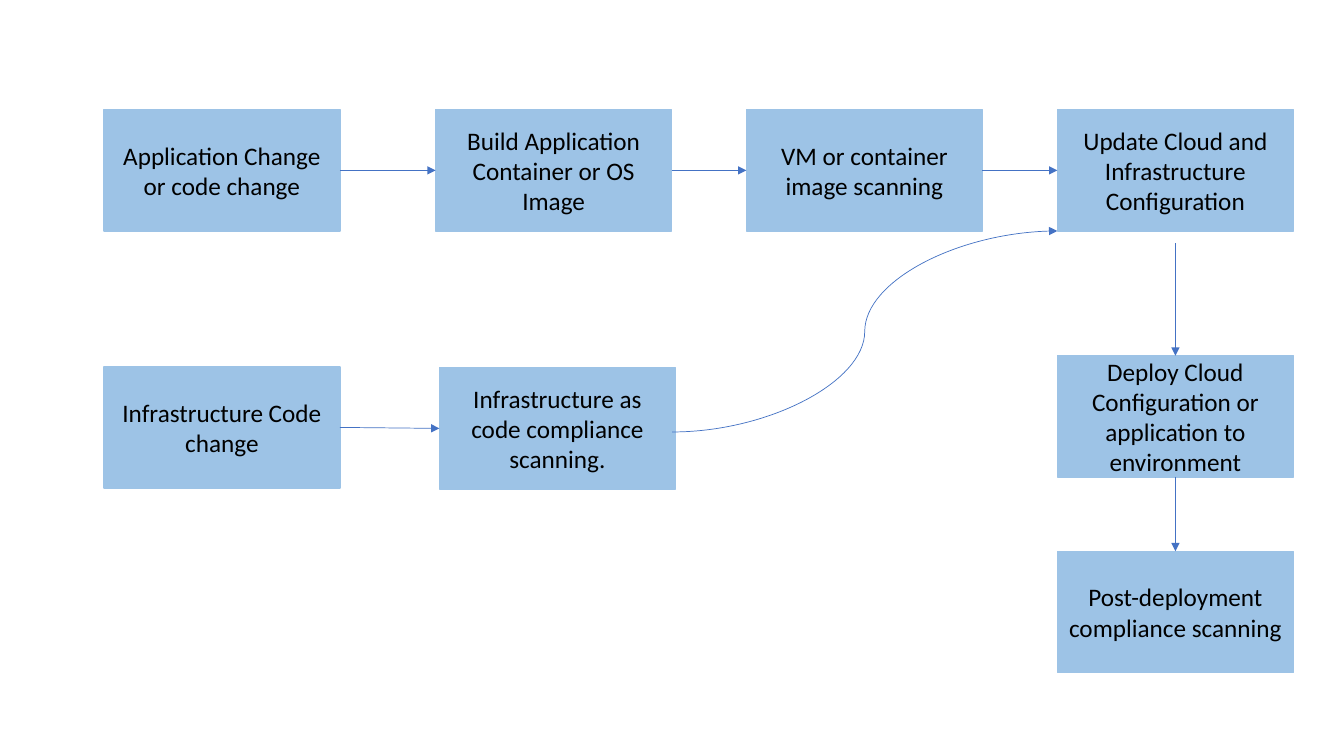
from dataclasses import dataclass

from lxml.etree import SubElement
from pptx import Presentation
from pptx.dml.color import RGBColor
from pptx.enum.shapes import MSO_CONNECTOR, MSO_SHAPE
from pptx.enum.text import MSO_ANCHOR, PP_ALIGN
from pptx.oxml.ns import qn
from pptx.util import Pt


@dataclass(frozen=True)
class Theme:
    """Colours, type and line sizes of the diagram."""
    step_fill: RGBColor = RGBColor(0x9D, 0xC3, 0xE6)
    step_text: RGBColor = RGBColor(0, 0, 0)
    flow: RGBColor = RGBColor(0x44, 0x72, 0xC4)
    font: str = "Calibri"
    step_size: Pt = Pt(18)
    step_border: Pt = Pt(1)
    flow_width: Pt = Pt(0.5)


@dataclass(frozen=True)
class Box:
    """Area that a region is placed in."""
    left: int
    top: int
    width: int
    height: int


THEME = Theme()
STEP_WIDTH, STEP_HEIGHT = Pt(168.6), Pt(86.6)
TOP, LEFT, BOTTOM, RIGHT = range(4)  # connection sites of a rectangle


def add_step(slide, left, top, wording):
    """Draw one step of the pipeline and return it."""
    step = slide.shapes.add_shape(MSO_SHAPE.RECTANGLE, left, top, STEP_WIDTH, STEP_HEIGHT)
    step.shadow.inherit = False
    step.fill.solid()
    step.fill.fore_color.rgb = THEME.step_fill
    step.line.color.rgb = THEME.step_fill
    step.line.width = THEME.step_border
    frame = step.text_frame
    frame.word_wrap = True
    frame.vertical_anchor = MSO_ANCHOR.MIDDLE
    frame.text = wording
    paragraph = frame.paragraphs[0]
    paragraph.alignment = PP_ALIGN.CENTER
    font = paragraph.runs[0].font
    font.name, font.size = THEME.font, THEME.step_size
    font.color.rgb = THEME.step_text
    return step


def add_flow(slide, start, end, kind=MSO_CONNECTOR.STRAIGHT):
    """Draw an arrow from one point to another and return it."""
    flow = slide.shapes.add_connector(kind, *start, *end)
    flow.line.color.rgb = THEME.flow
    flow.line.width = THEME.flow_width
    SubElement(flow.line._get_or_add_ln(), qn("a:tailEnd"), type="triangle")
    SubElement(flow._element.spPr, qn("a:effectLst"))
    return flow


def link_steps(slide, source, target, source_site, target_site):
    """Attach a straight arrow to the facing sides of two steps."""
    flow = add_flow(slide, (0, 0), (0, 0))
    flow.begin_connect(source, source_site)
    flow.end_connect(target, target_site)


def add_lane(slide, box, stages):
    """Draw steps from left to right; each stage is (x, y, wording)."""
    steps = [add_step(slide, box.left + x, box.top + y, wording) for x, y, wording in stages]
    for source, target in zip(steps, steps[1:]):
        link_steps(slide, source, target, RIGHT, LEFT)
    return steps


def add_deployment(slide, box, update):
    """Draw the deployment steps down the box, below the update step."""
    deploy = add_step(slide, box.left, box.top,
                      "Deploy Cloud Configuration or application to environment")
    verify = add_step(slide, box.left, box.top + box.height - STEP_HEIGHT,
                      "Post-deployment compliance scanning")
    centre = box.left + box.width // 2
    add_flow(slide, (centre, update.top + update.height + Pt(8.6)), (centre, box.top))
    link_steps(slide, deploy, verify, BOTTOM, TOP)


def add_pipeline(slide, box):
    """Place both change lanes and the deployment column in the box."""
    image_lane = Box(box.left, box.top, box.width, STEP_HEIGHT)
    code_lane = Box(box.left, box.top + Pt(183.6), Pt(408), STEP_HEIGHT)
    deployment = Box(box.left + box.width - STEP_WIDTH, box.top + Pt(175.7),
                     STEP_WIDTH, box.height - Pt(175.7))

    *_, update = add_lane(slide, image_lane, [
        (0, 0, "Application Change or code change"),
        (Pt(237), 0, "Build Application Container or OS Image"),
        (Pt(459), 0, "VM or container image scanning"),
        (image_lane.width - STEP_WIDTH, 0, "Update Cloud and Infrastructure Configuration"),
    ])
    _, compliance = add_lane(slide, code_lane, [
        (0, 0, "Infrastructure Code change"),
        (Pt(239.7), Pt(0.7), "Infrastructure as code compliance scanning."),
    ])
    add_deployment(slide, deployment, update)
    add_flow(slide,
             (compliance.left + STEP_WIDTH - Pt(2.4), compliance.top + STEP_HEIGHT // 2 + Pt(2.6)),
             (update.left, update.top + STEP_HEIGHT),
             MSO_CONNECTOR.CURVE)


def main():
    """Build the slide and save it."""
    deck = Presentation()
    deck.slide_width, deck.slide_height = Pt(960), Pt(540)
    slide = deck.slides.add_slide(deck.slide_layouts[6])
    add_pipeline(slide, Box(Pt(74.2), Pt(78.4), Pt(849.7), Pt(402)))
    deck.save("out.pptx")


main()
